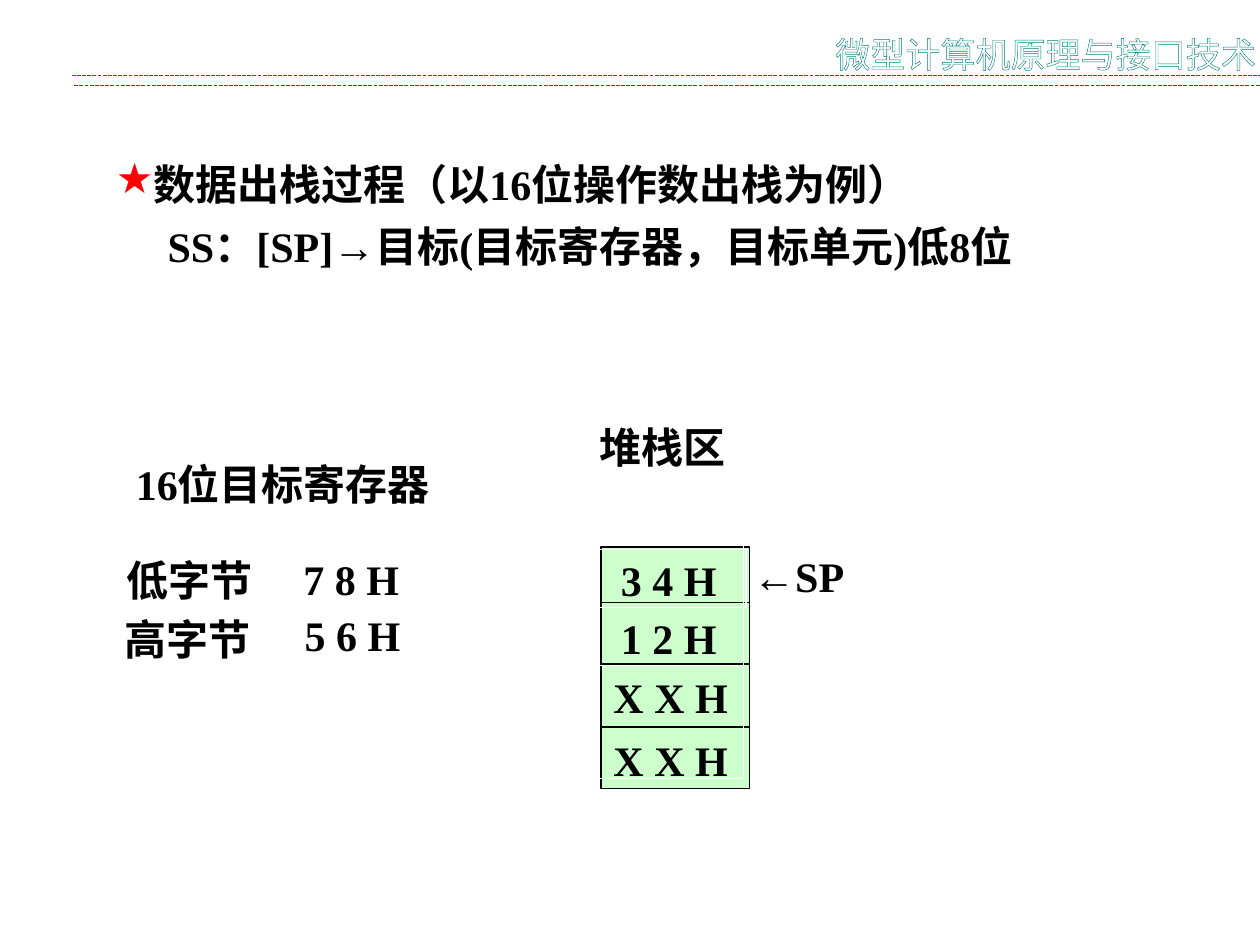
from lxml import etree
from pptx import Presentation
from pptx.dml.color import RGBColor
from pptx.enum import dml, shapes, text
from pptx.oxml import ns
from pptx.util import Inches, Pt

SERIF = "Times New Roman"
SANS = "Noto Sans CJK SC"
BLACK, WHITE, GREEN, TEAL, RED = "000000", "FFFFFF", "008000", "008080", "FF0000"
CELL_GREEN = "CCFFCC"


def color(value):
    return RGBColor.from_string(value)


def add_child(parent, tag, **attributes):
    return etree.SubElement(parent, ns.qn(tag), attributes)


def add_line(slide, start_x, end_x, y, line_color, dash=None):
    line = slide.shapes.add_connector(
        shapes.MSO_CONNECTOR.STRAIGHT, Inches(start_x), Inches(y), Inches(end_x), Inches(y))
    line.line.color.rgb = color(line_color)
    line.line.width = Pt(0.75)
    if dash:
        line.line.dash_style = dash
    add_child(line._element.spPr, "a:effectLst")


def add_box(slide, left, top, width, height, line_color, fill=None):
    box = slide.shapes.add_shape(
        shapes.MSO_SHAPE.RECTANGLE, Inches(left), Inches(top), Inches(width), Inches(height))
    box.shadow.inherit = False
    if fill:
        box.fill.solid()
        box.fill.fore_color.rgb = color(fill)
    else:
        box.fill.background()
    box.line.color.rgb = color(line_color)
    box.line.width = Pt(0.75)


def add_run(paragraph, words, size=24, face=SERIF, fill=BLACK, bold=True, outline=None):
    run = paragraph.add_run()
    run.text = words
    font = run.font
    font.size = Pt(size)
    font.bold = bold
    properties = font._element
    if outline:
        line = add_child(properties, "a:ln", w=str(Pt(0.75)))
        line_fill = add_child(line, "a:solidFill")
        add_child(line_fill, "a:srgbClr", val=outline)
    font.color.rgb = color(fill)
    font.name = face
    add_child(properties, "a:ea", typeface=SANS)


def add_label(slide, words, left, top, width, height=0.5, spacing=None):
    label = slide.shapes.add_textbox(Inches(left), Inches(top), Inches(width), Inches(height))
    label.text_frame.word_wrap = False
    paragraph = label.text_frame.paragraphs[0]
    paragraph.line_spacing = spacing
    add_run(paragraph, words)


def add_header(slide):
    for start_x, y in ((0.59, 0.68), (0.57, 0.6)):
        add_line(slide, start_x, 10, y, GREEN, dml.MSO_LINE.SQUARE_DOT)
    header = slide.shapes.add_textbox(Inches(6.6), Inches(0.21), Inches(3.4), Inches(0.28))
    frame = header.text_frame
    frame.word_wrap = False
    frame.margin_left = frame.margin_right = 0
    paragraph = frame.paragraphs[0]
    paragraph.alignment = text.PP_ALIGN.CENTER
    add_run(paragraph, "微型计算机原理与接口技术", 20, SANS, WHITE, False, TEAL)


def fill_placeholder(placeholder, words, left, top, width, bullet=None):
    placeholder.left, placeholder.top = Inches(left), Inches(top)
    placeholder.width, placeholder.height = Inches(width), Inches(0.5)
    frame = placeholder.text_frame
    frame.word_wrap = True
    frame.auto_size = text.MSO_AUTO_SIZE.NONE
    frame.vertical_anchor = text.MSO_ANCHOR.TOP
    paragraph = frame.paragraphs[0]
    paragraph.alignment = text.PP_ALIGN.JUSTIFY
    paragraph.space_before = Pt(0)
    properties = paragraph._p.get_or_add_pPr()
    properties.set("marL", "0")
    properties.set("indent", "0")
    if bullet:
        bullet_color = add_child(properties, "a:buClr")
        add_child(bullet_color, "a:srgbClr", val=RED)
        add_child(properties, "a:buChar", char=bullet)
    else:
        add_child(properties, "a:buNone")
    add_run(paragraph, words)


def add_stack(slide):
    left, right, top = 4.77, 5.95, 4.34
    add_box(slide, left, top, right - left, 1.92, BLACK, CELL_GREEN)
    for y in (4.78, 5.27, 5.77):
        add_line(slide, left, right, y, BLACK)
    for box_left, box_top, height in ((4.68, 3.87, 2.31), (4.68, 4.82, 0.46), (4.7, 4.36, 0.46)):
        add_box(slide, box_left, box_top, 1.22, height, WHITE)
    add_label(slide, "堆栈区", 4.66, 3.3, 1.3)
    for words, x, y, width in (("3 4 H", 4.83, 4.35, 1), ("1 2 H", 4.83, 4.81, 1),
                               ("X X H", 4.77, 5.28, 1.15), ("X X H", 4.77, 5.78, 1.15)):
        add_label(slide, words, x, y, width)
    add_label(slide, "←SP", 5.88, 4.43, 1, 1.36, 0.7)


def add_register(slide):
    add_label(slide, "16位目标寄存器", 0.98, 3.59, 2.9)
    for name, name_left, name_top, value, value_left, value_top in (
            ("低字节", 0.91, 4.35, "7 8 H", 2.31, 4.34),
            ("高字节", 0.89, 4.82, "5 6 H", 2.32, 4.79)):
        add_box(slide, 2.22, name_top, 1.22, 0.46, WHITE)
        add_label(slide, name, name_left, name_top, 1.3)
        add_label(slide, value, value_left, value_top, 1)


def main():
    presentation = Presentation()
    presentation.slide_width, presentation.slide_height = Inches(10), Inches(7.5)
    slide = presentation.slides.add_slide(presentation.slide_layouts[1])
    add_header(slide)
    fill_placeholder(slide.shapes.title, "数据出栈过程（以16位操作数出栈为例）",
                     0.82, 1.21, 8.75, "★")
    fill_placeholder(slide.placeholders[1], "SS：[SP]→目标(目标寄存器，目标单元)低8位",
                     1.23, 1.7, 8.33)
    add_stack(slide)
    add_register(slide)
    presentation.save("out.pptx")


if __name__ == "__main__":
    main()
